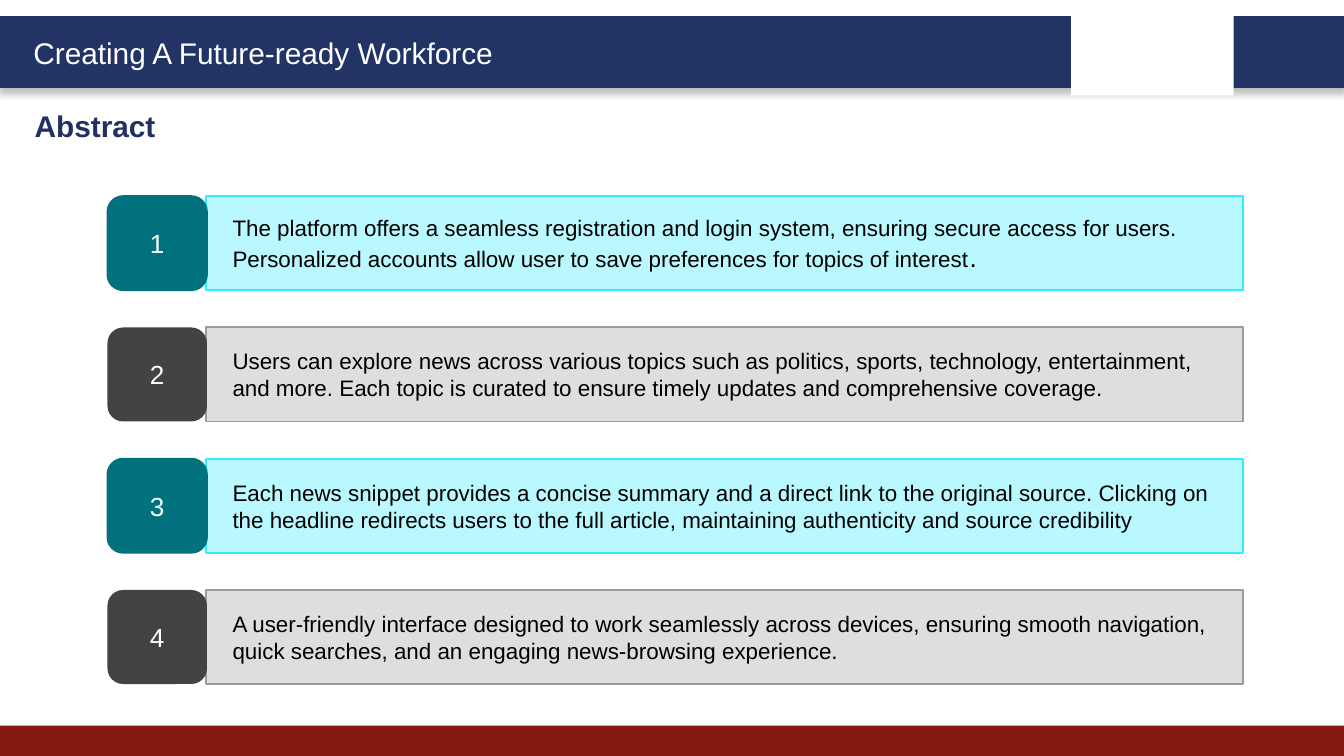
from dataclasses import dataclass
from typing import Optional

from lxml import etree
from pptx import Presentation
from pptx import util as u
from pptx.dml.color import RGBColor
from pptx.enum import shapes, text
from pptx.oxml import ns

COLORS = {
    "navy": "223366", "heading": "213163", "red": "851910",
    "white": "FFFFFF", "black": "000000",
    "teal": "00717D", "aqua": "BAF8FF", "cyan": "31EBFF",
    "charcoal": "434343", "silver": "DEDEDE", "gray": "9B9B9B",
}
FONT = "Arial"
SLIDE_WIDTH = 10
SLIDE_HEIGHT = SLIDE_WIDTH * 9 / 16
FIRST_TOP, LAST_TOP, ROW_HEIGHT = 1.46, 4.39, 0.7


@dataclass
class Box:
    left: float
    top: float
    width: float
    height: float


@dataclass
class Theme:
    badge: str
    badge_line: Optional[str]
    panel: str
    panel_line: str


THEMES = [
    Theme("teal", "teal", "aqua", "cyan"),
    Theme("charcoal", None, "silver", "gray"),
]

# Each point is a list of (text, size) runs
POINTS = [
    [("The platform offers a seamless registration and login system, ensuring secure access "
      "for users. Personalized accounts allow user to save preferences for topics of interest", 12),
     (".", 14)],
    [("Users can explore news across various topics such as politics, sports, technology, "
      "entertainment, and more. Each topic is curated to ensure timely updates and "
      "comprehensive coverage.", 12)],
    [("Each news snippet provides a concise summary and a direct link to the original source. "
      "Clicking on the headline redirects users to the full article, maintaining authenticity "
      "and source credibility", 12)],
    [("A user-friendly interface designed to work seamlessly across devices, ensuring smooth "
      "navigation, quick searches, and an engaging news-browsing experience.", 12)],
]


def rgb(name: str) -> RGBColor:
    return RGBColor.from_string(COLORS[name])


def inches(box: Box) -> list:
    return [u.Inches(v) for v in (box.left, box.top, box.width, box.height)]


def add_block(slide, box: Box, fill: str, line: Optional[str] = None, line_width: float = 1,
              kind=shapes.MSO_SHAPE.RECTANGLE):
    shape = slide.shapes.add_shape(kind, *inches(box))
    shape.shadow.inherit = False
    shape.fill.solid()
    shape.fill.fore_color.rgb = rgb(fill)
    if line:
        shape.line.color.rgb = rgb(line)
        shape.line.width = u.Pt(line_width)
    else:
        shape.line.fill.background()
    return shape


def add_runs(paragraph, runs: list, color: str, bold: bool = False) -> None:
    for words, size in runs:
        run = paragraph.add_run()
        run.text = words
        run.font.name = FONT
        run.font.size = u.Pt(size)
        run.font.bold = bold
        run.font.color.rgb = rgb(color)


def add_title(slide, box: Box, words: str, color: str, bold: bool = False) -> None:
    frame = slide.shapes.add_textbox(*inches(box)).text_frame
    frame.word_wrap = True
    frame.auto_size = text.MSO_AUTO_SIZE.SHAPE_TO_FIT_TEXT
    add_runs(frame.paragraphs[0], [(words, 16)], color, bold)


def add_shadow(shape) -> None:
    effects = shape._element.spPr.find(ns.qn("a:effectLst"))
    shadow = etree.SubElement(effects, ns.qn("a:outerShdw"), blurRad=str(u.Pt(4)),
                              dist=str(u.Pt(3)), dir="5400000", algn="t", rotWithShape="0")
    color = etree.SubElement(shadow, ns.qn("a:srgbClr"), val=COLORS["black"])
    etree.SubElement(color, ns.qn("a:alpha"), val="25000")


def add_point(slide, number: int, top: float, runs: list, theme: Theme) -> None:
    panel = add_block(slide, Box(1.53, top, 7.72, ROW_HEIGHT), theme.panel, theme.panel_line)
    badge = add_block(slide, Box(0.8, top, 0.74, ROW_HEIGHT), theme.badge, theme.badge_line,
                      kind=shapes.MSO_SHAPE.ROUNDED_RECTANGLE)
    panel.text_frame.margin_left = u.Inches(0.2)
    parts = [
        (panel, runs, "black", text.PP_ALIGN.LEFT),
        (badge, [(str(number), 14)], "white", text.PP_ALIGN.CENTER),
    ]
    for shape, words, color, alignment in parts:
        frame = shape.text_frame
        frame.word_wrap = True
        frame.vertical_anchor = text.MSO_ANCHOR.MIDDLE
        frame.paragraphs[0].alignment = alignment
        add_runs(frame.paragraphs[0], words, color)


def main() -> None:
    presentation = Presentation()
    presentation.slide_width = u.Inches(SLIDE_WIDTH)
    presentation.slide_height = u.Inches(SLIDE_HEIGHT)
    slide = presentation.slides.add_slide(presentation.slide_layouts[6])

    # Header band, footer band and the white logo space
    header = add_block(slide, Box(0, 0.13, SLIDE_WIDTH, 0.51), "navy", "navy", 2)
    add_shadow(header)
    add_block(slide, Box(0, 5.4, SLIDE_WIDTH, 0.23), "red")
    add_block(slide, Box(7.97, 0.07, 1.21, 0.64), "white")

    # Titles
    add_title(slide, Box(0.15, 0.21, 3.78, 0.37), "Creating A Future-ready Workforce", "white")
    add_title(slide, Box(0.16, 0.75, 4.84, 0.37), "Abstract", "heading", bold=True)

    # Numbered points, evenly spaced with alternating themes
    pitch = (LAST_TOP - FIRST_TOP) / (len(POINTS) - 1)
    for index, runs in enumerate(POINTS):
        add_point(slide, index + 1, FIRST_TOP + index * pitch, runs, THEMES[index % 2])

    presentation.save("out.pptx")


if __name__ == "__main__":
    main()
